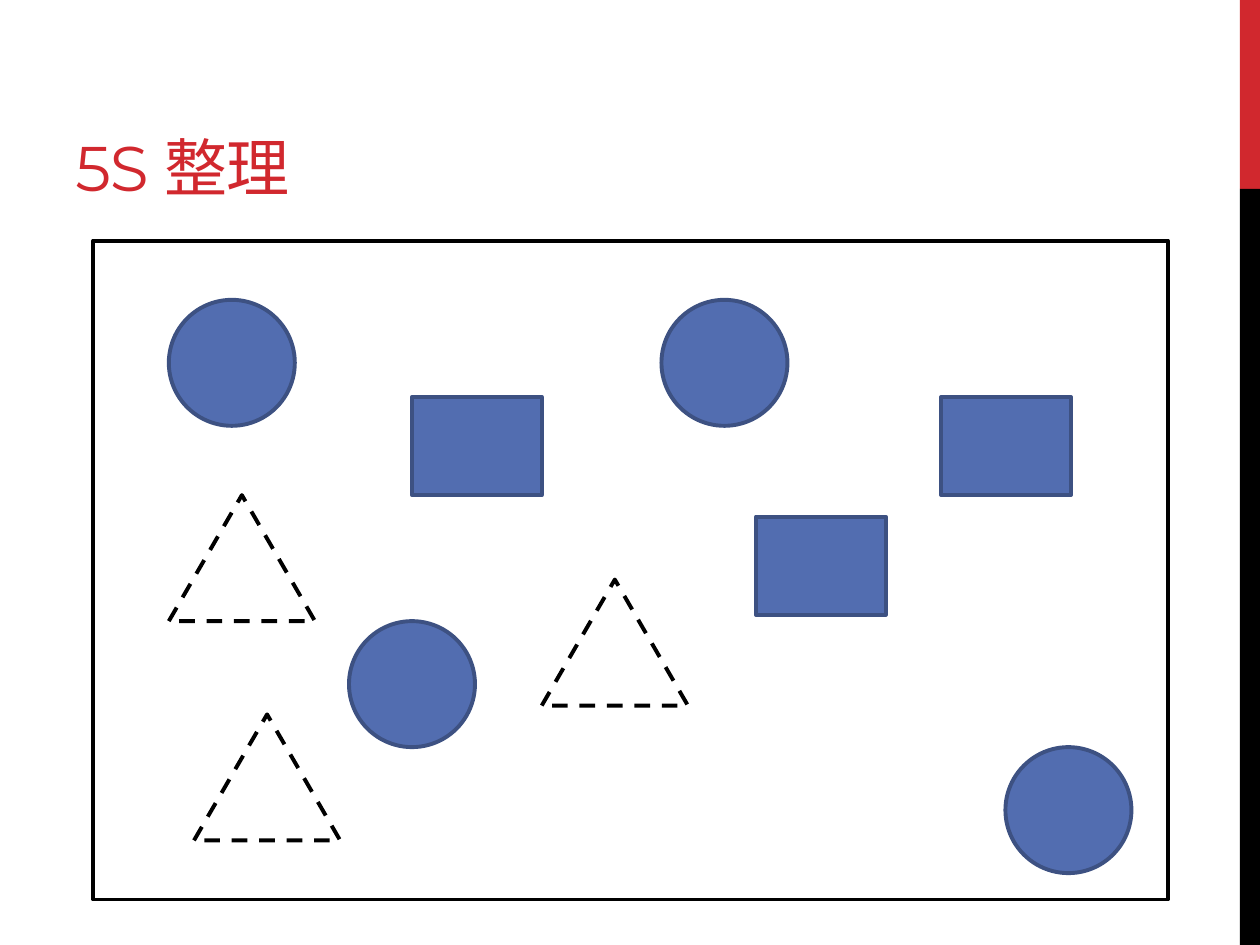
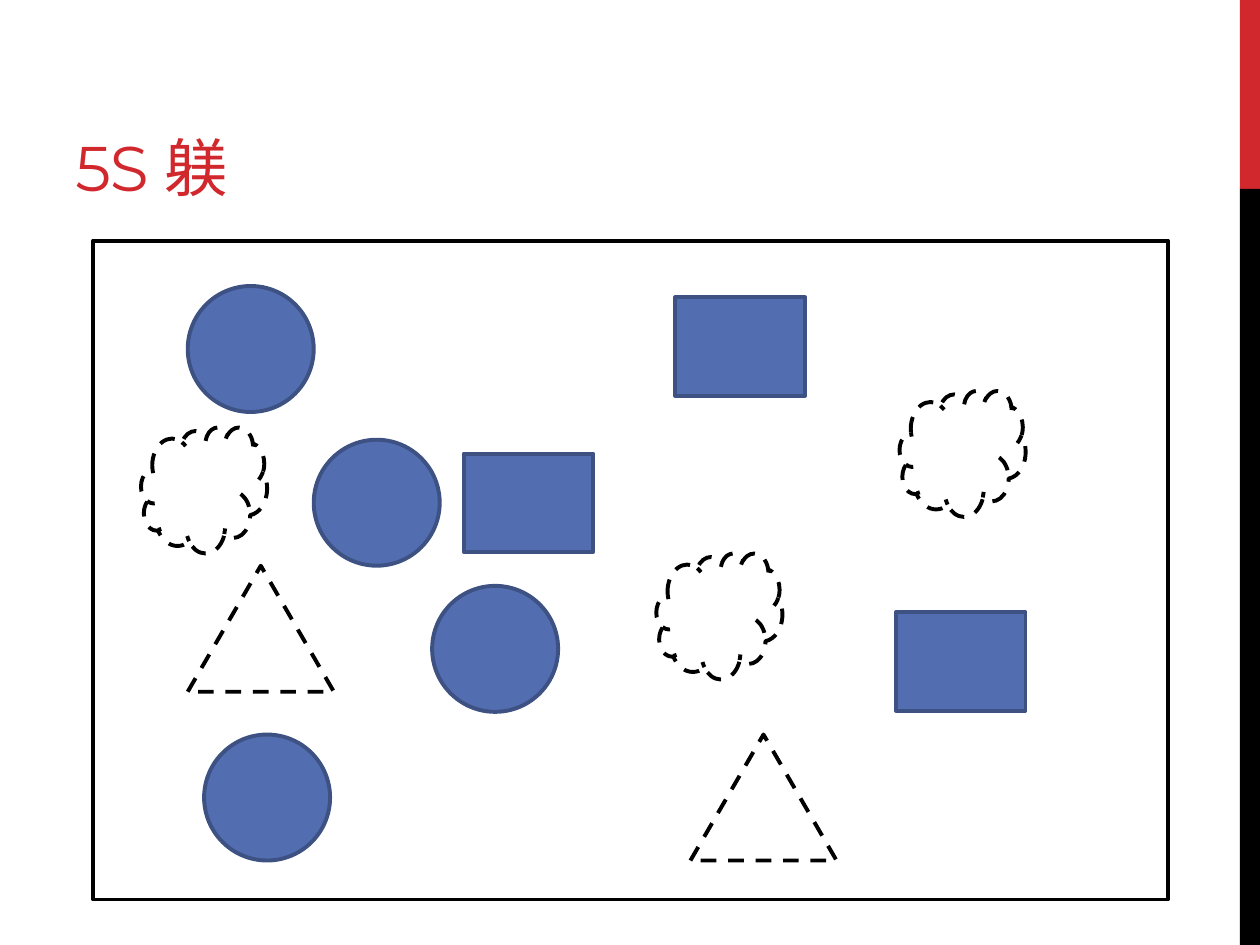
from dataclasses import dataclass
from typing import Optional

from pptx import Presentation
from pptx.dml.color import RGBColor
from pptx.enum.dml import MSO_LINE_DASH_STYLE as Dash
from pptx.enum.shapes import MSO_SHAPE as Shape
from pptx.enum.text import MSO_ANCHOR as Anchor
from pptx.slide import Slide
from pptx.util import Inches, Pt

# Shared look
RED = RGBColor(0xD1, 0x28, 0x2E)
BLACK = RGBColor(0x00, 0x00, 0x00)
WHITE = RGBColor(0xFF, 0xFF, 0xFF)
BLUE = RGBColor(0x52, 0x6D, 0xB0)
DARK_BLUE = RGBColor(0x3D, 0x51, 0x82)
TITLE_FONT = "Montserrat"
LINE_WIDTH = Pt(2.25)
SLIDE_WIDTH, SLIDE_HEIGHT = 10, 7.5
BAND_WIDTH, RED_HEIGHT = 0.16, 1.5


@dataclass(frozen=True)
class Kind:
    """Outline, size and colours of one sort of item."""
    preset: Shape
    width: float
    height: float
    fill: RGBColor
    line: Optional[RGBColor] = None
    dashed: bool = False


@dataclass(frozen=True)
class Item:
    kind: Kind
    left: float
    top: float


@dataclass(frozen=True)
class Scene:
    title: str
    items: tuple[Item, ...]


# Side band and workplace frame
RED_BAND = Kind(Shape.RECTANGLE, BAND_WIDTH, RED_HEIGHT, RED)
BLACK_BAND = Kind(Shape.RECTANGLE, BAND_WIDTH, SLIDE_HEIGHT - RED_HEIGHT, BLACK)
FRAME = Kind(Shape.RECTANGLE, 8.53, 5.23, WHITE, BLACK)

# Needed items are solid, unneeded ones dashed
CIRCLE = Kind(Shape.OVAL, 1, 1, BLUE, DARK_BLUE)
BOX = Kind(Shape.RECTANGLE, 1.03, 0.78, BLUE, DARK_BLUE)
TRIANGLE = Kind(Shape.ISOSCELES_TRIANGLE, 1.16, 1, WHITE, BLACK, True)
CLOUD = Kind(Shape.CLOUD, 1, 1, WHITE, BLACK, True)

BACKDROP = (
    Item(RED_BAND, SLIDE_WIDTH - BAND_WIDTH, 0),
    Item(BLACK_BAND, SLIDE_WIDTH - BAND_WIDTH, RED_HEIGHT),
    Item(FRAME, 0.74, 1.91),
)

SCENES = (
    Scene("5S 整理", (
        Item(BOX, 3.27, 3.15),
        Item(CIRCLE, 1.34, 2.38),
        Item(TRIANGLE, 1.34, 3.93),
        Item(TRIANGLE, 4.3, 4.6),
        Item(CIRCLE, 2.77, 4.93),
        Item(CIRCLE, 5.25, 2.38),
        Item(BOX, 6, 4.1),
        Item(TRIANGLE, 1.54, 5.67),
        Item(CIRCLE, 7.98, 5.93),
        Item(BOX, 7.47, 3.15),
    )),
    Scene("5S 躾", (
        Item(BOX, 5.36, 2.36),
        Item(CIRCLE, 1.49, 2.27),
        Item(CIRCLE, 2.49, 3.49),
        Item(CIRCLE, 3.43, 4.65),
        Item(BOX, 3.68, 3.6),
        Item(CIRCLE, 1.62, 5.83),
        Item(BOX, 7.11, 4.86),
        Item(TRIANGLE, 1.49, 4.49),
        Item(TRIANGLE, 5.48, 5.83),
        Item(CLOUD, 7.14, 3.1),
        Item(CLOUD, 5.21, 4.39),
        Item(CLOUD, 1.12, 3.39),
    )),
)


def draw_item(page: Slide, item: Item) -> None:
    kind = item.kind
    shape = page.shapes.add_shape(
        kind.preset, Inches(item.left), Inches(item.top),
        Inches(kind.width), Inches(kind.height))
    shape.shadow.inherit = False
    shape.fill.solid()
    shape.fill.fore_color.rgb = kind.fill
    if kind.line is None:
        shape.line.fill.background()
        return
    shape.line.color.rgb = kind.line
    shape.line.width = LINE_WIDTH
    if kind.dashed:
        shape.line.dash_style = Dash.DASH


def draw_title(page: Slide, text: str) -> None:
    box = page.shapes.add_textbox(Inches(0.5), Inches(0.17), Inches(6.33), Inches(1.5))
    frame = box.text_frame
    frame.word_wrap = True
    frame.vertical_anchor = Anchor.BOTTOM
    frame.text = text
    span = frame.paragraphs[0].runs[0]
    span.font.name = TITLE_FONT
    span.font.size = Pt(36)
    span.font.color.rgb = RED
    # Letter spacing in hundredths of a point
    span._r.get_or_add_rPr().set("spc", "-60")


# Build the deck
deck = Presentation()
deck.slide_width = Inches(SLIDE_WIDTH)
deck.slide_height = Inches(SLIDE_HEIGHT)
blank = deck.slide_layouts[6]

for scene in SCENES:
    page = deck.slides.add_slide(blank)
    draw_title(page, scene.title)
    for item in BACKDROP + scene.items:
        draw_item(page, item)

deck.save("out.pptx")
